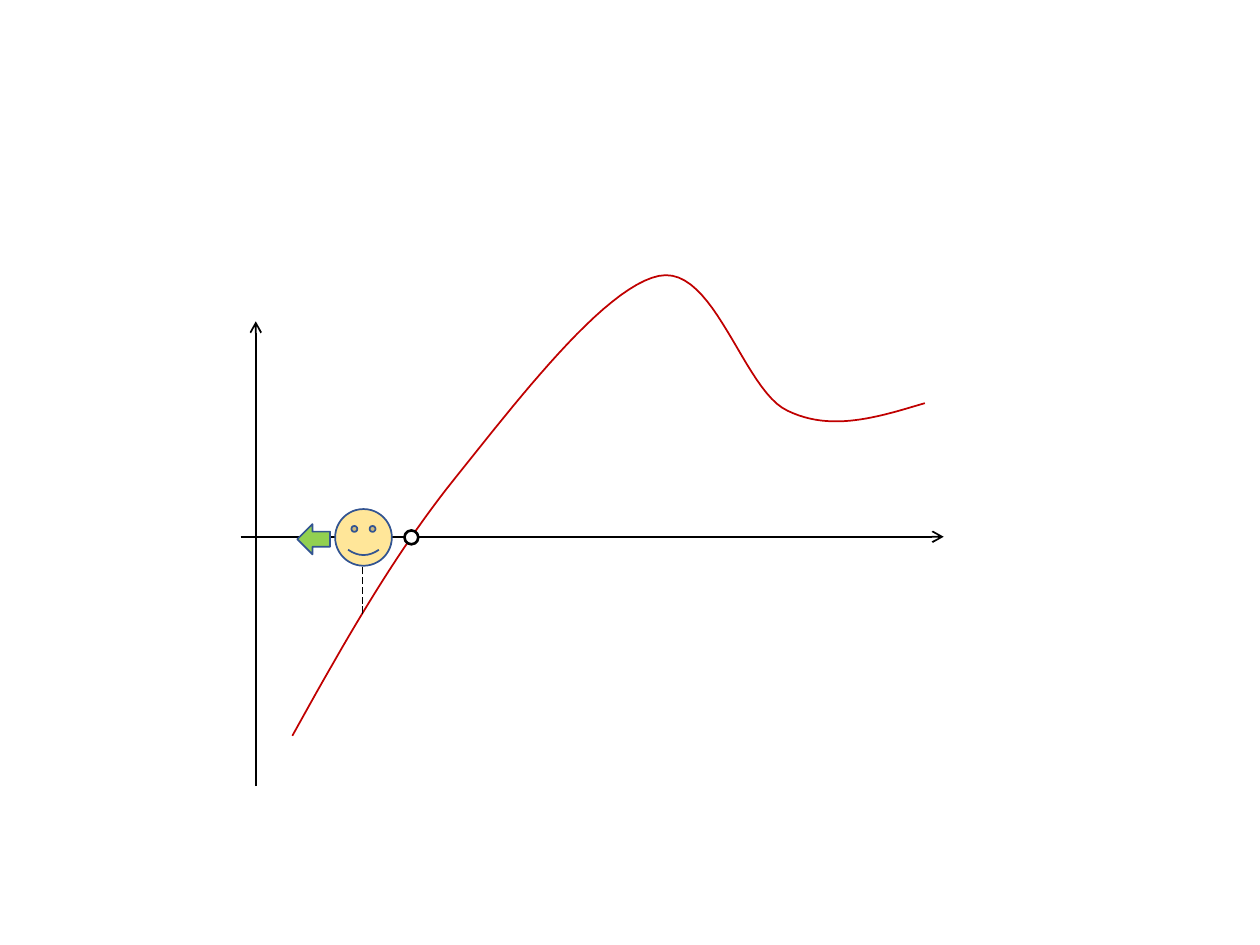
from lxml import etree
from pptx import Presentation
from pptx.dml.color import RGBColor
from pptx.enum.dml import MSO_LINE as DASH
from pptx.enum.shapes import MSO_CONNECTOR as CONN, MSO_SHAPE as SHAPE
from pptx.oxml.ns import qn
from pptx.util import Inches, Pt

BLACK, WHITE, RED = "000000", "FFFFFF", "C00000"
SKIN, GREEN, OUTLINE = "FFE699", "92D050", "325491"

# Curve: start point, then cubic segments (control, control, end)
CURVE_START = (2.32, 5.84)
CURVE_SEGMENTS = [
    ((2.72, 5.12), (3.12, 4.41), (3.6, 3.81)),
    ((4.09, 3.2), (4.79, 2.28), (5.23, 2.19)),
    ((5.67, 2.1), (5.9, 3.1), (6.25, 3.26)),
    ((6.6, 3.43), (6.97, 3.31), (7.34, 3.2)),
]
STEPS = 24


def rgb(value):
    return RGBColor.from_string(value)


def set_line(sp, color, width):
    sp.line.color.rgb = rgb(color)
    sp.line.width = Pt(width)


def add_line(slide, start, end, width, arrow=False, dash=None):
    ends = [Inches(v) for v in (*start, *end)]
    line = slide.shapes.add_connector(CONN.STRAIGHT, *ends)
    set_line(line, BLACK, width)
    if dash:
        line.line.dash_style = dash
    if arrow:
        ln = line.line._get_or_add_ln()
        etree.SubElement(ln, qn("a:tailEnd"), type="arrow")
    etree.SubElement(line._element.spPr, qn("a:effectLst"))


def add_shape(slide, kind, box, fill, color, width):
    sp = slide.shapes.add_shape(kind, *[Inches(v) for v in box])
    sp.shadow.inherit = False
    sp.fill.solid()
    sp.fill.fore_color.rgb = rgb(fill)
    set_line(sp, color, width)


def bezier(points, t):
    weights = ((1 - t) ** 3, 3 * t * (1 - t) ** 2, 3 * t * t * (1 - t), t ** 3)
    return tuple(Inches(sum(w * pt[i] for w, pt in zip(weights, points)))
                 for i in (0, 1))


def add_curve(slide, start, segments, color, width):
    builder = slide.shapes.build_freeform(*[Inches(v) for v in start])
    for segment in segments:
        points = (start, *segment)
        builder.add_line_segments(
            [bezier(points, n / STEPS) for n in range(1, STEPS + 1)], close=False)
        start = segment[-1]
    sp = builder.convert_to_shape()
    sp.shadow.inherit = False
    sp.fill.background()
    set_line(sp, color, width)


def main():
    prs = Presentation()
    prs.slide_width, prs.slide_height = Inches(10), Inches(7.5)
    slide = prs.slides.add_slide(prs.slide_layouts[6])

    # Axes
    add_line(slide, (2.03, 6.24), (2.03, 2.55), 1, arrow=True)
    add_line(slide, (1.91, 4.26), (7.49, 4.26), 1, arrow=True)

    # Function curve and its root
    add_curve(slide, CURVE_START, CURVE_SEGMENTS, RED, 1)
    add_shape(slide, SHAPE.OVAL, (3.21, 4.21, 0.11, 0.11), WHITE, BLACK, 1.5)

    # Walker on the axis, its direction and its value on the curve
    add_shape(slide, SHAPE.SMILEY_FACE, (2.66, 4.04, 0.45, 0.45), SKIN, OUTLINE, 1)
    add_shape(slide, SHAPE.LEFT_ARROW, (2.36, 4.16, 0.26, 0.24), GREEN, OUTLINE, 1)
    add_line(slide, (2.88, 4.87), (2.88, 4.49), 0.5, dash=DASH.LONG_DASH)

    prs.save("out.pptx")


if __name__ == "__main__":
    main()
